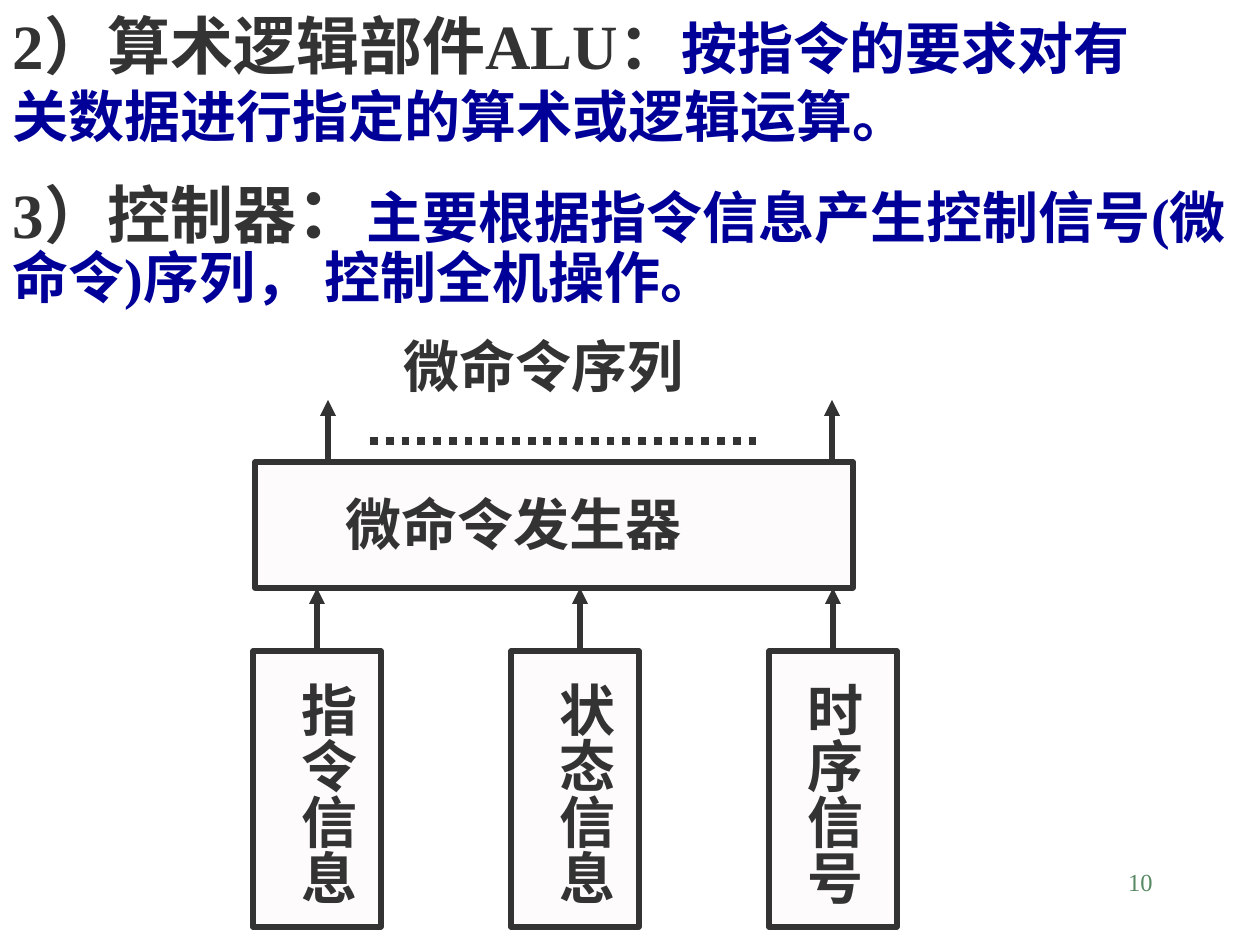
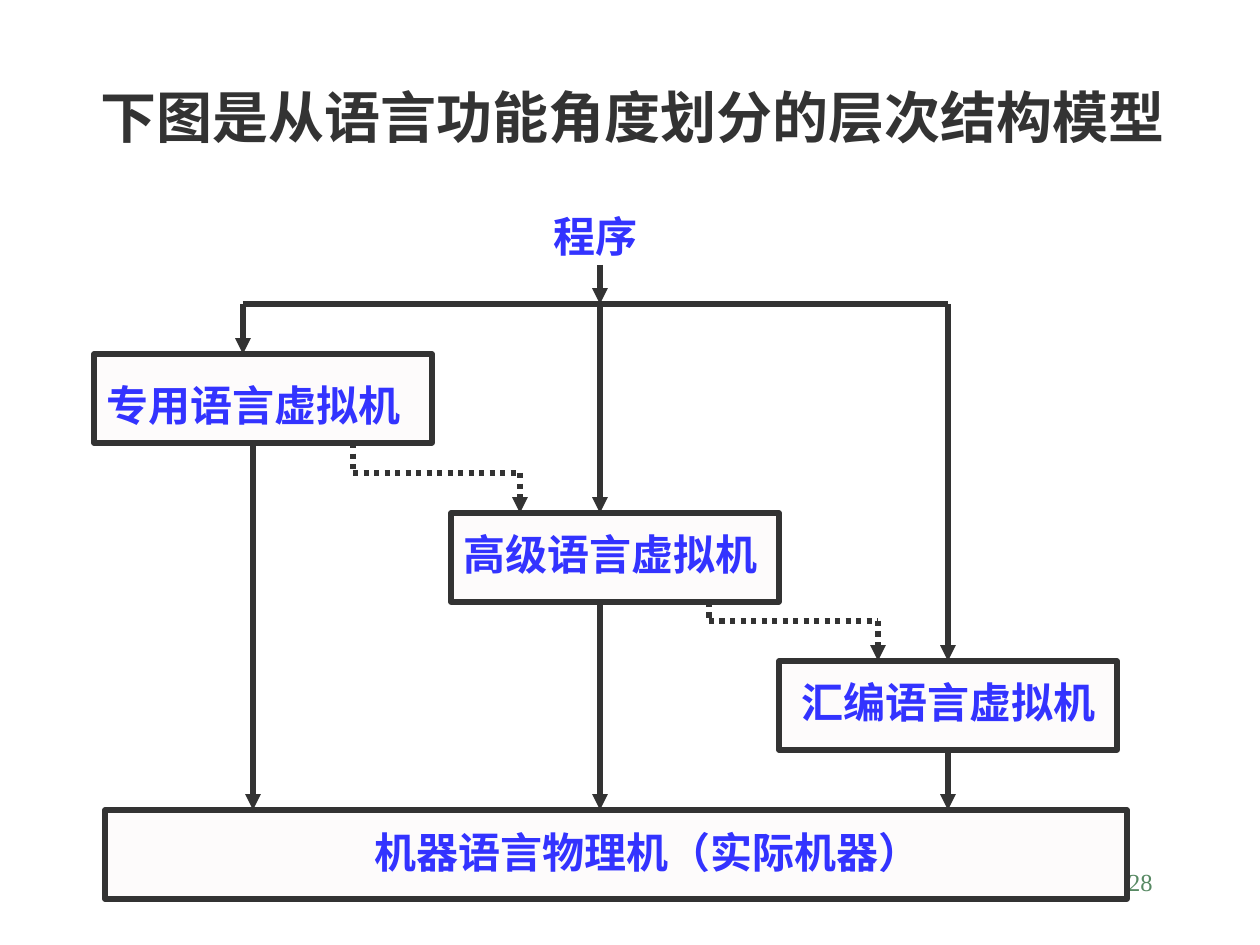
from lxml.etree import SubElement
from pptx import Presentation
from pptx.dml.color import RGBColor
from pptx.enum.dml import MSO_LINE
from pptx.enum.shapes import MSO_CONNECTOR as CONNECTOR, MSO_SHAPE as SHAPE
from pptx.enum.text import MSO_ANCHOR as ANCHOR, MSO_AUTO_SIZE as AUTO_SIZE, PP_ALIGN as ALIGN
from pptx.oxml.ns import qn
from pptx.util import Emu, Pt

PX = 914400 / 126
LATIN, CHINESE = "Times New Roman", "Noto Sans CJK SC"
INK, NAVY, BLUE, GREEN, PALE = "333333", "000099", "3333FF", "578963", "FDFBFB"
TOP, BOTTOM = 0, 2


def px(length):
    return Emu(round(length * PX))


def color(value):
    return RGBColor.from_string(value)


def style_font(font, size, shade, bold=True, latin=LATIN):
    font.size, font.bold, font.name = Pt(size), bold, latin
    font.color.rgb = color(shade)
    SubElement(font._element, qn("a:ea"), typeface=CHINESE)


def place(shape, area):
    shape.left, shape.top, shape.width, shape.height = map(px, area)


def add_text(shapes, text, area, size=32, shade=INK, bold=True, latin=LATIN,
             align=ALIGN.LEFT, vertical=False):
    box = shapes.add_textbox(*map(px, area))
    frame = box.text_frame
    frame.word_wrap = True
    frame.auto_size = AUTO_SIZE.SHAPE_TO_FIT_TEXT
    if vertical:
        frame._txBody.bodyPr.set("vert", "eaVert")
        frame.margin_left = frame.margin_right = px(6)
        frame.margin_top = frame.margin_bottom = px(13)
    para = frame.paragraphs[0]
    para.text, para.alignment = text, align
    style_font(para.font, size, shade, bold, latin)


def fill_placeholder(holder, area, spans, line_spacing=None):
    """Write (text, size, colour) spans as one left-aligned paragraph without a bullet."""
    place(holder, area)
    frame = holder.text_frame
    frame.word_wrap, frame.auto_size = True, AUTO_SIZE.NONE
    frame.vertical_anchor = ANCHOR.TOP
    para = frame.paragraphs[0]
    properties = para._p.get_or_add_pPr()
    properties.set("marL", "0")
    properties.set("indent", "0")
    SubElement(properties, qn("a:buNone"))
    para.alignment, para.space_before = ALIGN.LEFT, Pt(0)
    if line_spacing:
        para.line_spacing = line_spacing
    for text, size, shade in spans:
        span = para.add_run()
        span.text = text
        style_font(span.font, size, shade)


def add_box(shapes, area):
    box = shapes.add_shape(SHAPE.RECTANGLE, *map(px, area))
    box.shadow.inherit = False
    box.fill.solid()
    box.fill.fore_color.rgb = color(PALE)
    box.line.color.rgb, box.line.width = color(INK), Pt(3)
    return box


def add_line(page, start, end, arrow=True, dotted=False, width=3):
    line = page.shapes.add_connector(CONNECTOR.STRAIGHT, *map(px, start + end))
    line.line.color.rgb, line.line.width = color(INK), Pt(width)
    if dotted:
        line.line.dash_style = MSO_LINE.ROUND_DOT
    if arrow:
        SubElement(line.line._get_or_add_ln(), qn("a:tailEnd"), type="triangle")
    SubElement(line._element.spPr, qn("a:effectLst"))
    return line


def add_dotted_path(page, points):
    for start, end in zip(points, points[1:]):
        add_line(page, start, end, arrow=end == points[-1], dotted=True)


def add_page_number(page, number):
    add_text(page.shapes, str(number), (903, 861, 262, 63), 14, GREEN, False, align=ALIGN.RIGHT)


def build_controller_page(deck):
    page = deck.slides.add_slide(deck.slide_layouts[1])
    alu, controller = page.placeholders
    fill_placeholder(alu, (0, 0, 1160, 156), [
        ("2）算术逻辑部件ALU：", 36, INK),
        ("按指令的要求对有关数据进行指定的算术或逻辑运算。", 32, NAVY)])
    fill_placeholder(controller, (0, 175, 1260, 141), [
        ("3）控制器", 36, INK), ("：", 40, INK),
        ("主要根据指令信息产生控制信号(微命令)序列， 控制全机操作。", 32, NAVY)], 0.85)
    add_page_number(page, 10)

    add_text(page.shapes, "微命令序列", (391, 325, 348, 81))
    for x in (328, 832):
        add_line(page, (x, 462), (x, 400))
    add_line(page, (370, 441), (762, 441), arrow=False, dotted=True, width=4.5)
    generator = page.shapes.add_group_shape().shapes
    add_box(generator, (255, 462, 598, 126))
    add_text(generator, "微命令发生器", (333, 483, 568, 81))

    inputs = [("指令信息", 275, 317), ("状态信息", 533, 580), ("时序信号", 781, 833)]
    for index, (label, label_left, arrow_x) in enumerate(inputs):
        left = 253 + 258 * index
        group = page.shapes.add_group_shape().shapes
        box = add_box(group, (left, 651, 128, 276))
        add_text(group, label, (label_left, 669, 92, 276), vertical=True)
        arrow = add_line(page, (arrow_x, 651), (arrow_x, 588))
        if arrow_x == left + 64:
            arrow.begin_connect(box, TOP)


def build_language_page(deck):
    page = deck.slides.add_slide(deck.slide_layouts[5])
    fill_placeholder(page.shapes.title, (88, 76, 1118, 81),
                     [("下图是从语言功能角度划分的层次结构模型", 32, INK)])
    add_page_number(page, 28)

    machines = [
        ("专用语言虚拟机", (94, 354, 338, 89), (94, 373, 330, 63)),
        ("高级语言虚拟机", (451, 513, 328, 89), (451, 522, 338, 63)),
        ("汇编语言虚拟机", (779, 661, 338, 89), (789, 670, 328, 63)),
        ("机器语言物理机（实际机器）", (105, 810, 1022, 89), (362, 820, 576, 63)),
    ]
    boxes = {}
    for label, box_area, label_area in machines:
        boxes[label] = add_box(page.shapes, box_area)
        add_text(page.shapes, label, label_area, 24, BLUE, latin=CHINESE)
    add_text(page.shapes, "程序", (541, 204, 198, 63), 24, BLUE)

    add_line(page, (243, 304), (948, 304), arrow=False)
    for x, top, bottom in [(600, 265, 304), (243, 304, 354), (600, 304, 513),
                           (253, 443, 810), (600, 602, 810)]:
        add_line(page, (x, top), (x, bottom))
    assembly = boxes["汇编语言虚拟机"]
    add_line(page, (948, 304), (948, 661)).end_connect(assembly, TOP)
    add_line(page, (948, 750), (948, 810)).begin_connect(assembly, BOTTOM)
    add_dotted_path(page, [(353, 443), (353, 473), (520, 473), (520, 513)])
    add_dotted_path(page, [(709, 602), (709, 621), (878, 621), (878, 661)])


def main():
    deck = Presentation()
    deck.slide_width, deck.slide_height = px(1260), px(945)
    build_controller_page(deck)
    build_language_page(deck)
    deck.save("out.pptx")


if __name__ == "__main__":
    main()
